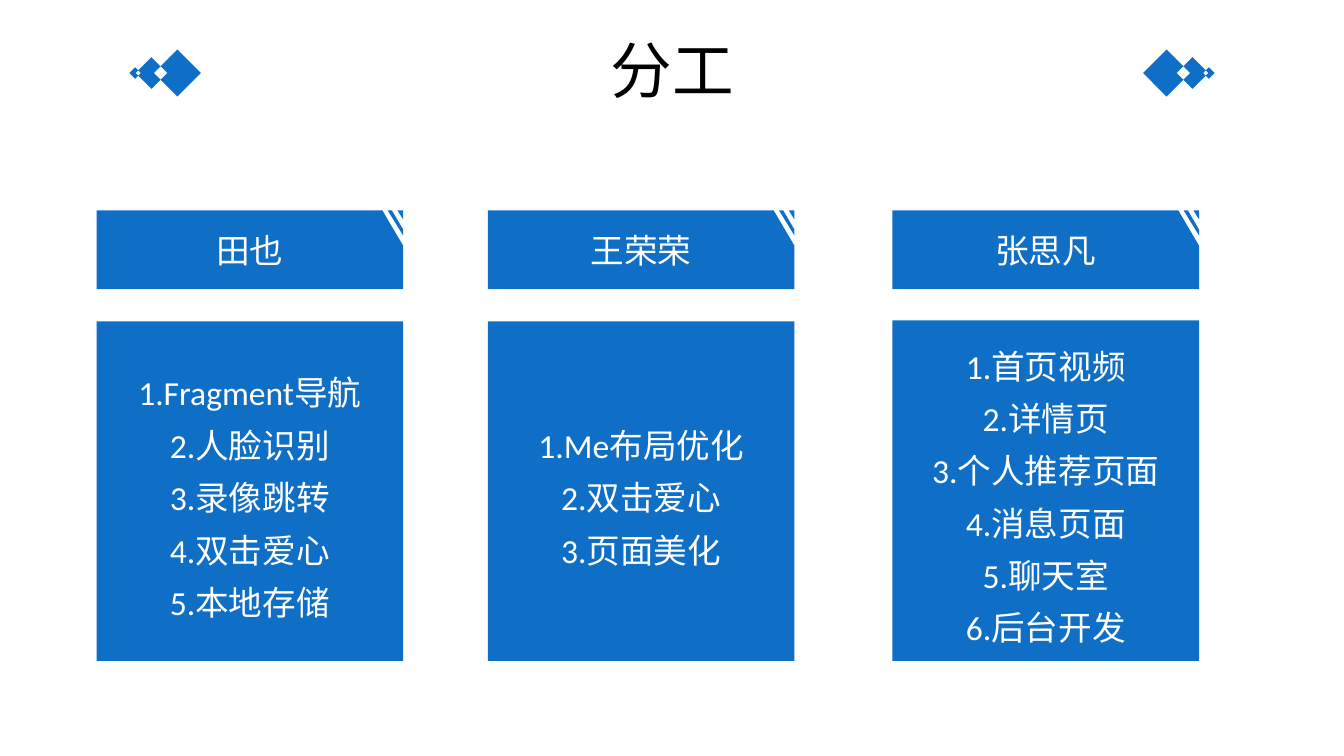
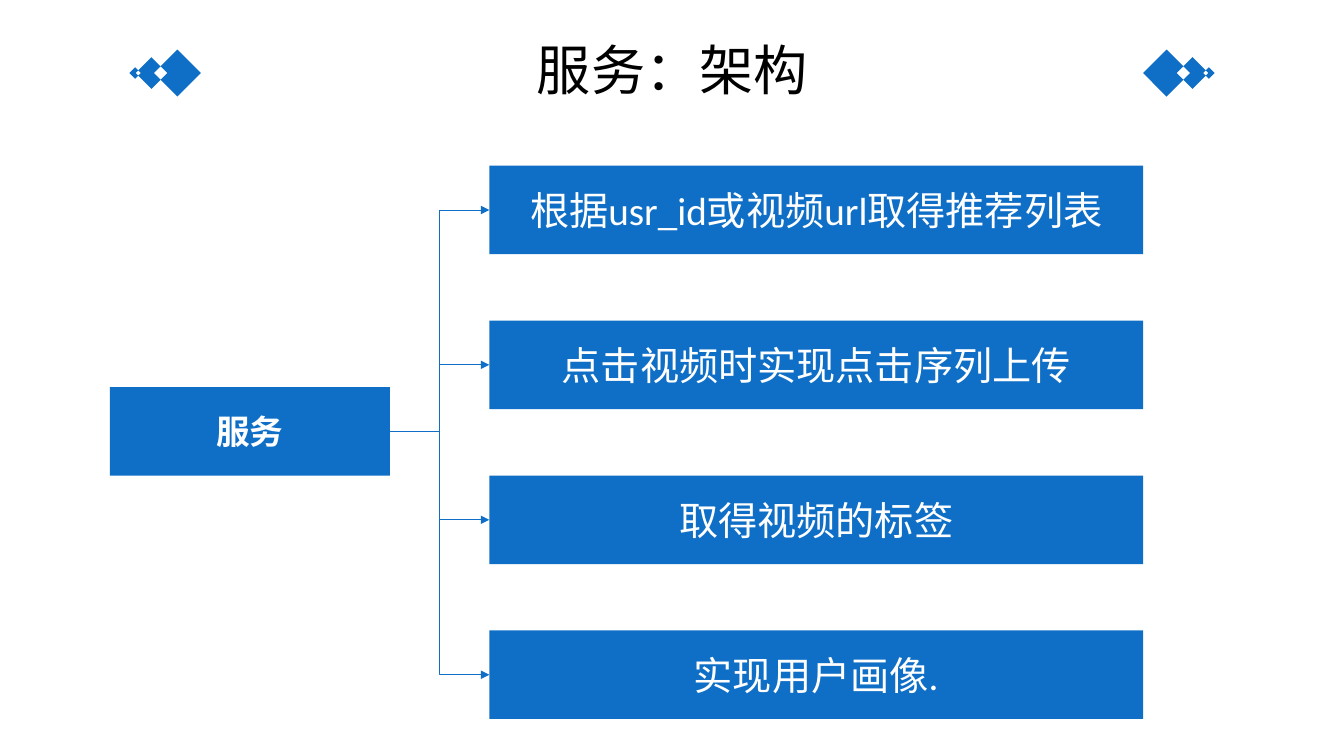
from dataclasses import dataclass

from pptx import Presentation
from pptx import util as u
from pptx.dml.color import RGBColor
from pptx.enum import lang, shapes, text
from pptx.oxml import ns, xmlchemy

Pt = u.Pt


@dataclass(frozen=True)
class Theme:
    blue: RGBColor = RGBColor(0x0F, 0x6F, 0xC6)
    white: RGBColor = RGBColor(0xFF, 0xFF, 0xFF)
    black: RGBColor = RGBColor(0x00, 0x00, 0x00)
    font: str = "Calibri"
    title: float = 44
    long_title: float = 38.7
    service: float = 28
    body: float = 24
    inset: float = 3.6
    rule: float = 0.5


THEME = Theme()
WIDTH, HEIGHT = 960, 540
DIAMOND_Y = 52.2
DIAMONDS = ((96.5, 4.1), (108.2, 11.3), (126.7, 16.8))

COLUMN_WIDTH, BANNER_TOP, BANNER_HEIGHT, COLUMN_BOTTOM = 219, 150.3, 56.2, 472
COLUMNS = (
    (69, 229.6, "田也", ("1.Fragment导航", "2.人脸识别", "3.录像跳转", "4.双击爱心", "5.本地存储")),
    (348.5, 229.6, "王荣荣", ("1.Me布局优化", "2.双击爱心", "3.页面美化")),
    (637.5, 228.8, "张思凡", ("1.首页视频", "2.详情页", "3.个人推荐页面", "4.消息页面", "5.聊天室", "6.后台开发")),
)

SERVICE_TOP, SERVICE_PITCH, SERVICE_HEIGHT = 118.4, 110.65, 63.2
SERVICES = (
    "根据usr_id或视频url取得推荐列表",
    "点击视频时实现点击序列上传",
    "取得视频的标签",
    "实现用户画像.",
)


def apply(target, formats):
    for attribute, value in formats.items():
        setattr(target, attribute, value)


class Deck:
    def __init__(self, theme):
        self.theme = theme
        self.presentation = Presentation()
        apply(self.presentation, {"slide_width": Pt(WIDTH), "slide_height": Pt(HEIGHT)})
        self.slide = None

    def new_slide(self, title, size):
        self.slide = self.presentation.slides.add_slide(self.presentation.slide_layouts[6])
        for mirrored in (False, True):
            self.ornament(mirrored)
        heading = self.slide.shapes.add_textbox(Pt(167), Pt(21.6), Pt(626.4), Pt(61.2))
        self.label(heading, [title], size, self.theme.black, spacing=0.9)

    def label(self, holder, lines, size, color, spacing=1.0, bold=False):
        frame = holder.text_frame
        inset = Pt(self.theme.inset)
        apply(frame, {
            "word_wrap": True,
            "auto_size": text.MSO_AUTO_SIZE.NONE,
            "vertical_anchor": text.MSO_ANCHOR.MIDDLE,
            "margin_left": inset,
            "margin_right": inset,
            "margin_top": inset,
            "margin_bottom": inset,
        })
        for index, line in enumerate(lines):
            paragraph = frame.add_paragraph() if index else frame.paragraphs[0]
            apply(paragraph, {"alignment": text.PP_ALIGN.CENTER, "line_spacing": spacing})
            run = paragraph.add_run()
            run.text = line
            apply(run.font, {
                "name": self.theme.font,
                "size": Pt(size),
                "bold": bold,
                "language_id": lang.MSO_LANGUAGE_ID.SIMPLIFIED_CHINESE,
            })
            run.font.color.rgb = color

    def paint(self, shape):
        shape.shadow.inherit = False
        shape.fill.solid()
        shape.fill.fore_color.rgb = self.theme.blue
        shape.line.fill.background()
        return shape

    def outline(self, contours):
        contours = [[(Pt(x), Pt(y)) for x, y in contour] for contour in contours]
        builder = self.slide.shapes.build_freeform(*contours[0][0])
        for index, (start, *rest) in enumerate(contours):
            if index:
                builder.move_to(*start)
            builder.add_line_segments(rest, close=True)
        return self.paint(builder.convert_to_shape())

    def ornament(self, mirrored):
        contours = []
        for center, half in DIAMONDS:
            x = WIDTH - center if mirrored else center
            contours.append([(x - half, DIAMOND_Y), (x, DIAMOND_Y - half),
                             (x + half, DIAMOND_Y), (x, DIAMOND_Y + half)])
        self.outline(contours)

    def panel(self, left, top, width, height, lines, size, **style):
        box = self.slide.shapes.add_shape(
            shapes.MSO_SHAPE.RECTANGLE, Pt(left), Pt(top), Pt(width), Pt(height))
        self.label(self.paint(box), lines, size, self.theme.white, **style)
        return box

    def banner(self, left, top, width, height, name):
        right, bottom = left + width, top + height
        shape = self.outline([
            [(right - 4, top), (right, top), (right, top + 6.5)],
            [(right - 11, top), (right - 8, top), (right, top + 13.7), (right, top + 18)],
            [(left, top), (right - 14.8, top), (right, top + 25.2), (right, bottom), (left, bottom)],
        ])
        self.label(shape, [name], self.theme.body, self.theme.white)

    def arrow(self, source, target):
        link = self.slide.shapes.add_connector(shapes.MSO_CONNECTOR.ELBOW, 0, 0, 0, 0)
        link.begin_connect(source, 3)
        link.end_connect(target, 1)
        link.line.width = Pt(self.theme.rule)
        link.line.color.rgb = self.theme.blue
        properties = link._element.spPr
        head = xmlchemy.OxmlElement("a:tailEnd")
        head.set("type", "triangle")
        properties.find(ns.qn("a:ln")).append(head)
        properties.append(xmlchemy.OxmlElement("a:effectLst"))


def main():
    deck = Deck(THEME)

    deck.new_slide("分工", THEME.title)
    for left, top, member, tasks in COLUMNS:
        deck.panel(left, top, COLUMN_WIDTH, COLUMN_BOTTOM - top, tasks, THEME.body, spacing=1.3)
        deck.banner(left, BANNER_TOP, COLUMN_WIDTH, BANNER_HEIGHT, member)

    deck.new_slide("服务：架构", THEME.long_title)
    root = deck.panel(78.5, 276.5, 200, SERVICE_HEIGHT, ["服务"], THEME.body, bold=True)
    for row, service in enumerate(SERVICES):
        branch = deck.panel(349.5, SERVICE_TOP + row * SERVICE_PITCH, 467, SERVICE_HEIGHT,
                            [service], THEME.service)
        deck.arrow(root, branch)

    deck.presentation.save("out.pptx")


if __name__ == "__main__":
    main()
